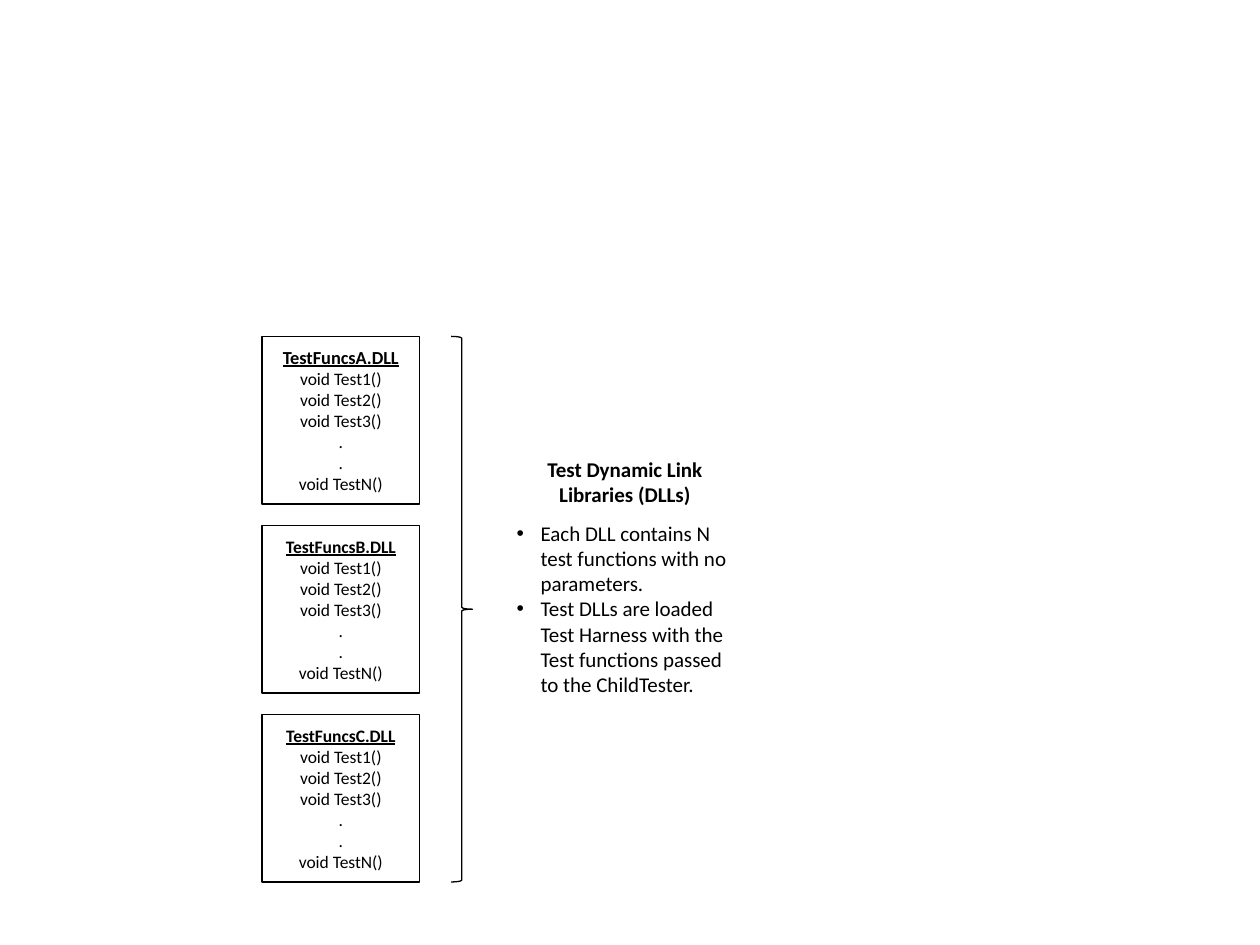
from pptx import Presentation
from pptx.dml.color import RGBColor
from pptx.enum.shapes import MSO_SHAPE as Shape
from pptx.enum.text import MSO_ANCHOR as Anchor, MSO_AUTO_SIZE as AutoSize, PP_ALIGN as Align
from pptx.util import Inches, Pt

BLACK = "000000"
WHITE = "FFFFFF"
FUNCTIONS = ["void Test1()", "void Test2()", "void Test3()", ".", ".", "void TestN()"]
LIBRARIES = [("TestFuncsA.DLL", 10.5), ("TestFuncsB.DLL", 10), ("TestFuncsC.DLL", 10)]
NOTES = [
    "Each DLL contains N test functions with no parameters.",
    "Test DLLs are loaded Test Harness with the Test functions passed to the ChildTester.",
]


def color(value):
    return RGBColor.from_string(value)


def place(shape, left, top, width, height):
    shape.left, shape.top = Inches(left), Inches(top)
    shape.width, shape.height = Inches(width), Inches(height)


def write(frame, lines, size, align):
    frame.text = "\n".join(lines)
    frame.word_wrap = True
    for para in frame.paragraphs:
        para.alignment = align
        para.space_before = Pt(0)
        para.font.name = "Calibri"
        para.font.size = Pt(size)
        para.font.color.rgb = color(BLACK)


def add_outline(page, kind, left, top, width, height, weight):
    shape = page.shapes.add_shape(
        kind, Inches(left), Inches(top), Inches(width), Inches(height))
    shape.shadow.inherit = False
    shape.line.color.rgb = color(BLACK)
    shape.line.width = Pt(weight)
    return shape


def add_library(page, left, top, width, height, name, name_size):
    box = add_outline(page, Shape.RECTANGLE, left, top, width, height, 1)
    box.fill.solid()
    box.fill.fore_color.rgb = color(WHITE)
    frame = box.text_frame
    write(frame, [name] + FUNCTIONS, 10, Align.CENTER)
    frame.vertical_anchor = Anchor.MIDDLE
    heading = frame.paragraphs[0].font
    heading.size = Pt(name_size)
    heading.bold = heading.underline = True


def add_libraries(page, left, top, width, height):
    box_height = 1.33
    step = (height - box_height) / (len(LIBRARIES) - 1)
    for index, (name, name_size) in enumerate(LIBRARIES):
        add_library(page, left, top + index * step, width, box_height, name, name_size)
    brace = add_outline(page, Shape.RIGHT_BRACE, left + 1.5, top, 0.17, height, 0.75)
    brace.fill.background()


def add_description(page, left, top, width):
    title, body = page.shapes.title, page.placeholders[1]
    place(title, left + 0.17, top, width - 0.34, 0.5)
    write(title.text_frame, ["Test Dynamic Link Libraries (DLLs)"], 12, Align.CENTER)
    title.text_frame.paragraphs[0].font.bold = True
    place(body, left, top + 0.51, width, 1.51)
    write(body.text_frame, NOTES, 12, Align.LEFT)
    for para in body.text_frame.paragraphs:
        properties = para._p.get_or_add_pPr()
        properties.set("marL", str(Inches(0.19)))
        properties.set("indent", str(Inches(-0.19)))
    for shape in (title, body):
        shape.text_frame.vertical_anchor = Anchor.TOP
        shape.text_frame.auto_size = AutoSize.SHAPE_TO_FIT_TEXT


deck = Presentation()
deck.slide_width, deck.slide_height = Inches(10), Inches(7.5)
page = deck.slides.add_slide(deck.slide_layouts[1])
add_libraries(page, 2.08, 2.67, 1.25, 4.33)
add_description(page, 4, 3.57, 1.92)
deck.save("out.pptx")
